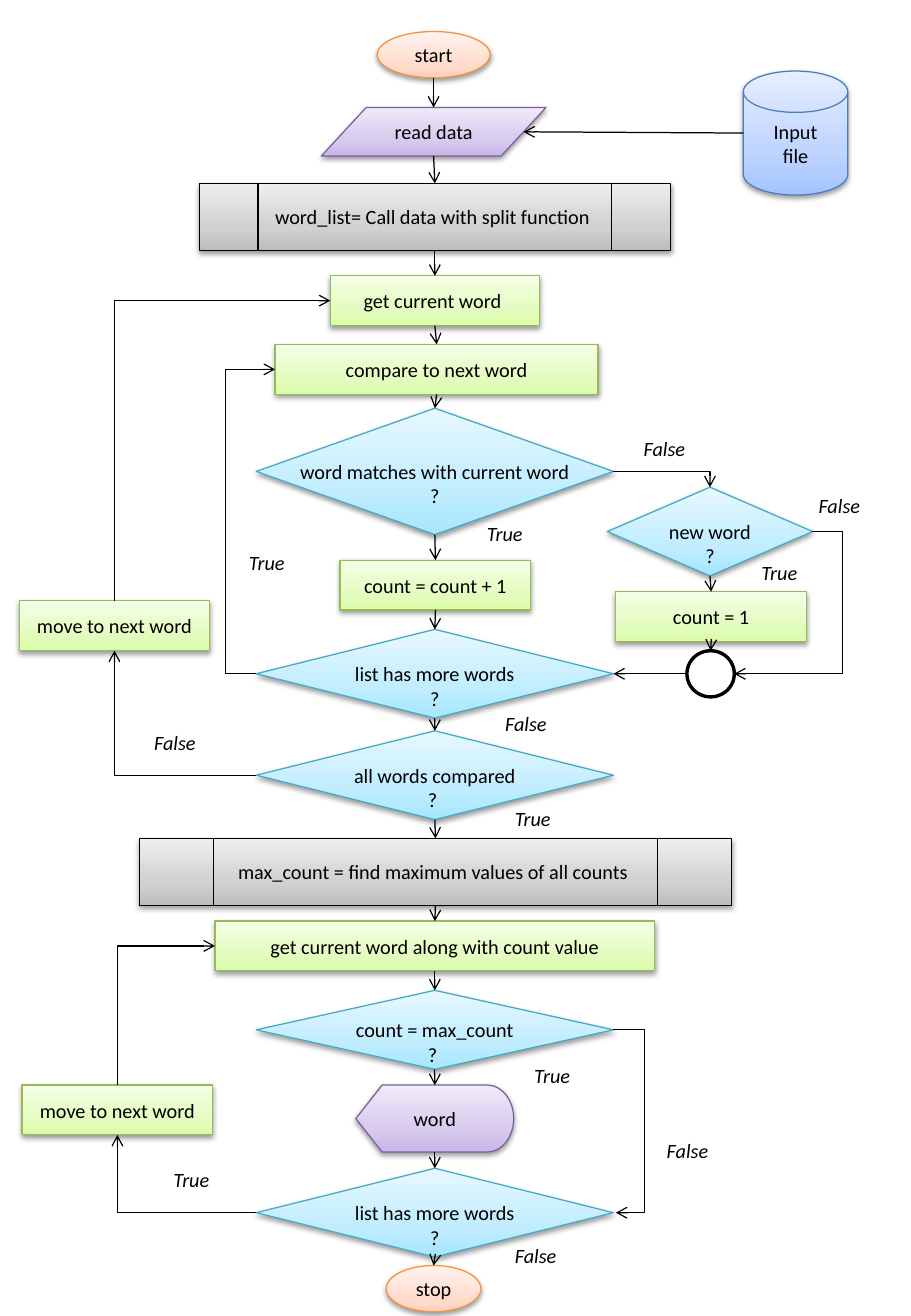
from collections import namedtuple
from copy import deepcopy

from lxml import etree
from pptx import Presentation
from pptx.dml.color import RGBColor
from pptx.enum.shapes import MSO_CONNECTOR, MSO_SHAPE
from pptx.enum.text import MSO_ANCHOR, MSO_AUTO_SIZE, PP_ALIGN
from pptx.oxml.ns import qn
from pptx.util import Inches, Pt

STRAIGHT, ELBOW = MSO_CONNECTOR.STRAIGHT, MSO_CONNECTOR.ELBOW
MIDDLE, CENTER, LEFT_ALIGN = MSO_ANCHOR.MIDDLE, PP_ALIGN.CENTER, PP_ALIGN.LEFT
FIT_SHAPE = MSO_AUTO_SIZE.SHAPE_TO_FIT_TEXT
FONT, SIZE, BLACK = "Calibri", Pt(12), "000000"

Box = namedtuple("Box", "left top width height")
Look = namedtuple("Look", "shape line stops")
ORANGE = ("F69240", ("FFD2BD", "FFDED0", "FFF2ED"))
PURPLE = ("7D60A0", ("C9B5E8", "D8CBEE", "F0EAF9"))
GREEN = ("98B955", ("DAFDA7", "E4FCC2", "F5FFE7"))
CYAN = ("46AAC5", ("A7E6FF", "C1EDFF", "E7F8FF"))
BLUE = ("4B7EBC", ("A4C4FF", "BFD4FF", "E6EEFF"))
GRAY = (BLACK, ("BDBDBD", "D1D1D1", "EEEEEE"))
LOOKS = {
    "terminal": Look(MSO_SHAPE.OVAL, *ORANGE),
    "input": Look(MSO_SHAPE.FLOWCHART_DATA, *PURPLE),
    "display": Look(MSO_SHAPE.FLOWCHART_DISPLAY, *PURPLE),
    "step": Look(MSO_SHAPE.RECTANGLE, *GREEN),
    "decision": Look(MSO_SHAPE.FLOWCHART_DECISION, *CYAN),
    "storage": Look(MSO_SHAPE.FLOWCHART_MAGNETIC_DISK, *BLUE),
    "routine": Look(MSO_SHAPE.FLOWCHART_PREDEFINED_PROCESS, *GRAY),
    "junction": Look(MSO_SHAPE.OVAL, BLACK, ()),
}
GLUED = [LOOKS[kind].shape for kind in ("step", "decision", "routine", "display")]
TOP, LEFT, BOTTOM, RIGHT, SLANT = range(5)
SIDES = [(0.5, 0), (0, 0.5), (0.5, 1), (1, 0.5), (0.9, 0.5)]

prs = Presentation()
prs.slide_width, prs.slide_height = Inches(7.5), Inches(10.83)
COL, ROW = prs.slide_width / 75, prs.slide_height / 108.3
AXIS, STEP_W, STEP_H, DIAMOND_W, DIAMOND_H, ROUTINE_H = 35.8, 15.7, 4.1, 29.4, 7.3, 5.5
s = prs.slides.add_slide(prs.slide_layouts[6])


def rgb(value):
    return RGBColor.from_string(value)


def write(sp, text, align, italic=False):
    tf = sp.text_frame
    tf.word_wrap = False
    tf.vertical_anchor = MIDDLE
    tf.text = text
    for p in tf.paragraphs:
        p.alignment = align
        p.font.name, p.font.size, p.font.italic = FONT, SIZE, italic
        p.font.color.rgb = rgb(BLACK)
    return tf


def shade(sp, stops):
    sp.fill.gradient()
    sp.fill.gradient_angle = 90
    gs_list = sp._element.spPr.find(".//" + qn("a:gsLst"))
    gs_list.insert(1, deepcopy(gs_list[0]))
    for stop, position, value in zip(sp.fill.gradient_stops, (0, 0.35, 1), stops):
        stop.position, stop.color.rgb = position, rgb(value)
    effects = sp._element.spPr.find(qn("a:effectLst"))
    shadow = etree.SubElement(effects, qn("a:outerShdw"), blurRad="40000", dist="20000",
                              dir="5400000", rotWithShape="0")
    color = etree.SubElement(shadow, qn("a:srgbClr"), val=BLACK)
    etree.SubElement(color, qn("a:alpha"), val="38000")


def node(box, kind, text, row, width, height, center=AXIS):
    look = LOOKS[kind]
    sp = s.shapes.add_shape(look.shape, round((box.left + center - width / 2) * COL),
                            round((box.top + row) * ROW), round(width * COL), round(height * ROW))
    sp.shadow.inherit = False
    sp.line.color.rgb = rgb(look.line)
    if look.stops:
        sp.line.width = Pt(0.75)
        shade(sp, look.stops)
        tf = write(sp, text, CENTER)
        if kind == "decision":
            tf.margin_top, tf.margin_bottom = Inches(0.2), 0
    else:
        sp.line.width = Pt(2)
        sp.fill.solid()
        sp.fill.fore_color.rgb = rgb("FFFFFF")
    return sp


def spot(sp, side):
    across, down = SIDES[side]
    return round(sp.left + across * sp.width), round(sp.top + down * sp.height)


def bend(cx, start, end, via, upright):
    (x1, y1), (x2, y2) = start, end
    geom = cx._element.spPr.find(qn("a:prstGeom"))
    if via is not None:
        share = round((via * COL - x1) / (x2 - x1) * 100000)
        etree.SubElement(geom.find(qn("a:avLst")), qn("a:gd"), name="adj1", fmla=f"val {share}")
        return
    geom.set("prst", "bentConnector2")
    if upright:
        wide, high = abs(x2 - x1), abs(y2 - y1)
        cx.left, cx.top = (x1 + x2 - high) // 2, (y1 + y2 - wide) // 2
        cx.width, cx.height = high, wide
        xfrm = cx._element.spPr.find(qn("a:xfrm"))
        for key, value in (("rot", "5400000"), ("flipH", "1"), ("flipV", "1")):
            xfrm.set(key, value)


def link(a, side_a, b, side_b, kind=STRAIGHT, via=None):
    start, end = spot(a, side_a), spot(b, side_b)
    if kind == ELBOW and start[0] == end[0]:
        end = end[0] + round(COL / 5), end[1]
    cx = s.shapes.add_connector(kind, *start, *end)
    if kind == ELBOW:
        bend(cx, start, end, via, side_a == TOP)
    else:
        if a.auto_shape_type in GLUED:
            cx.begin_connect(a, side_a)
        if b.auto_shape_type in GLUED:
            cx.end_connect(b, side_b)
    cx.line.color.rgb = rgb(BLACK)
    cx.line.width = Pt(0.75)
    etree.SubElement(cx.line._get_or_add_ln(), qn("a:tailEnd"), type="arrow")
    etree.SubElement(cx._element.spPr, qn("a:effectLst"))


def labels(box, text, width, places):
    for col, row in places:
        sp = s.shapes.add_textbox(round((box.left + col) * COL), round((box.top + row) * ROW),
                                  round(width * COL), round(3 * ROW))
        write(sp, text, LEFT_ALIGN, True).auto_size = FIT_SHAPE


def reading(box):
    start = node(box, "terminal", "start", 0, 9.3, 3.8, 35.7)
    read = node(box, "input", "read data", 6.25, 18.5, 4, 35.7)
    split = node(box, "routine", "word_list= Call data with split function ", 12.5, 38.8, ROUTINE_H)
    file = node(box, "storage", "Input\nfile", 3.25, 8.6, 10.2, 65.5)
    link(file, LEFT, read, SLANT)
    return [start, read, split]


def counting(box):
    current = node(box, "step", "get current word ", 0, 17.2, STEP_H)
    compare = node(box, "step", "compare to next word", 5.65, 26.6, STEP_H, 35.95)
    match = node(box, "decision", "word matches with current word\n?", 10.9, DIAMOND_W, 10.4)
    add = node(box, "step", "count = count + 1", 23.4, STEP_W, STEP_H, 35.85)
    more = node(box, "decision", "list has more words\n?", 29.1, DIAMOND_W, DIAMOND_H)
    done = node(box, "decision", "all words compared\n? ", 37.45, DIAMOND_W, DIAMOND_H)
    new = node(box, "decision", "new word\n?", 17.4, 16.9, DIAMOND_H, 58.45)
    first = node(box, "step", "count = 1", 26, STEP_W, STEP_H, 58.55)
    junction = node(box, "junction", "", 30.85, 3.9, 3.8, 58.5)
    move = node(box, "step", "move to next word", 26.75, STEP_W, STEP_H, 9.43)
    link(match, RIGHT, new, TOP, ELBOW)
    link(new, BOTTOM, first, TOP)
    link(first, BOTTOM, junction, TOP)
    link(new, RIGHT, junction, RIGHT, ELBOW, box.left + 69.4)
    link(junction, LEFT, more, RIGHT)
    link(more, LEFT, compare, LEFT, ELBOW, box.left + 18.6)
    link(done, LEFT, move, BOTTOM, ELBOW)
    link(move, TOP, current, LEFT, ELBOW)
    labels(box, "True", 5, [(19.5, 22.1), (39.1, 19.7), (61.7, 22.9), (41.4, 43.15)])
    labels(box, "False", 5.5, [(52, 12.7), (66.4, 17.4), (40.6, 35.35), (11.7, 36.9)])
    return [current, compare, match, add, more, done]


def reporting(box):
    top = node(box, "routine", "max_count = find maximum values of all counts ", 0, 48.7,
               ROUTINE_H, 35.85)
    current = node(box, "step", "get current word along with count value", 6.8, 36.2, STEP_H)
    equal = node(box, "decision", "count = max_count\n? ", 12.5, DIAMOND_W, 6.5)
    word = node(box, "display", "word", 20.3, 13, ROUTINE_H)
    more = node(box, "decision", "list has more words\n?", 27.15, DIAMOND_W, DIAMOND_H)
    stop = node(box, "terminal", "stop", 35.15, 7.8, 3.8, 35.7)
    move = node(box, "step", "move to next word", 20.3, STEP_W, STEP_H, 9.67)
    link(equal, RIGHT, more, RIGHT, ELBOW, box.left + 53.05)
    link(more, LEFT, move, BOTTOM, ELBOW)
    link(move, TOP, current, LEFT, ELBOW)
    labels(box, "True", 5, [(43, 18), (13.3, 26.6)])
    labels(box, "False", 5.5, [(53.9, 24.2), (41.4, 32.8)])
    return [top, current, equal, word, more, stop]


flow = (reading(Box(0, 2.6, 75, 18)) + counting(Box(0, 22.7, 75, 44.8))
        + reporting(Box(0, 69, 75, 39)))
for above, below in zip(flow, flow[1:]):
    link(above, BOTTOM, below, TOP)
prs.save("out.pptx")
